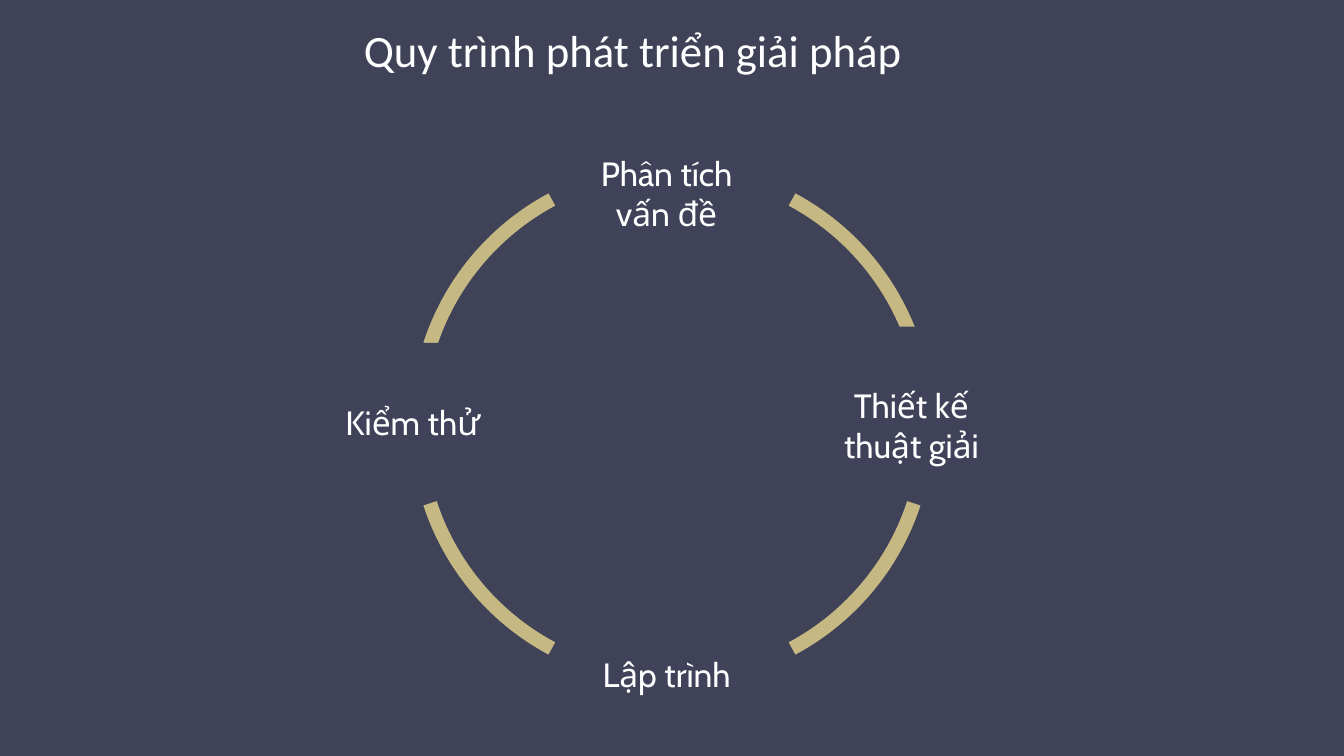
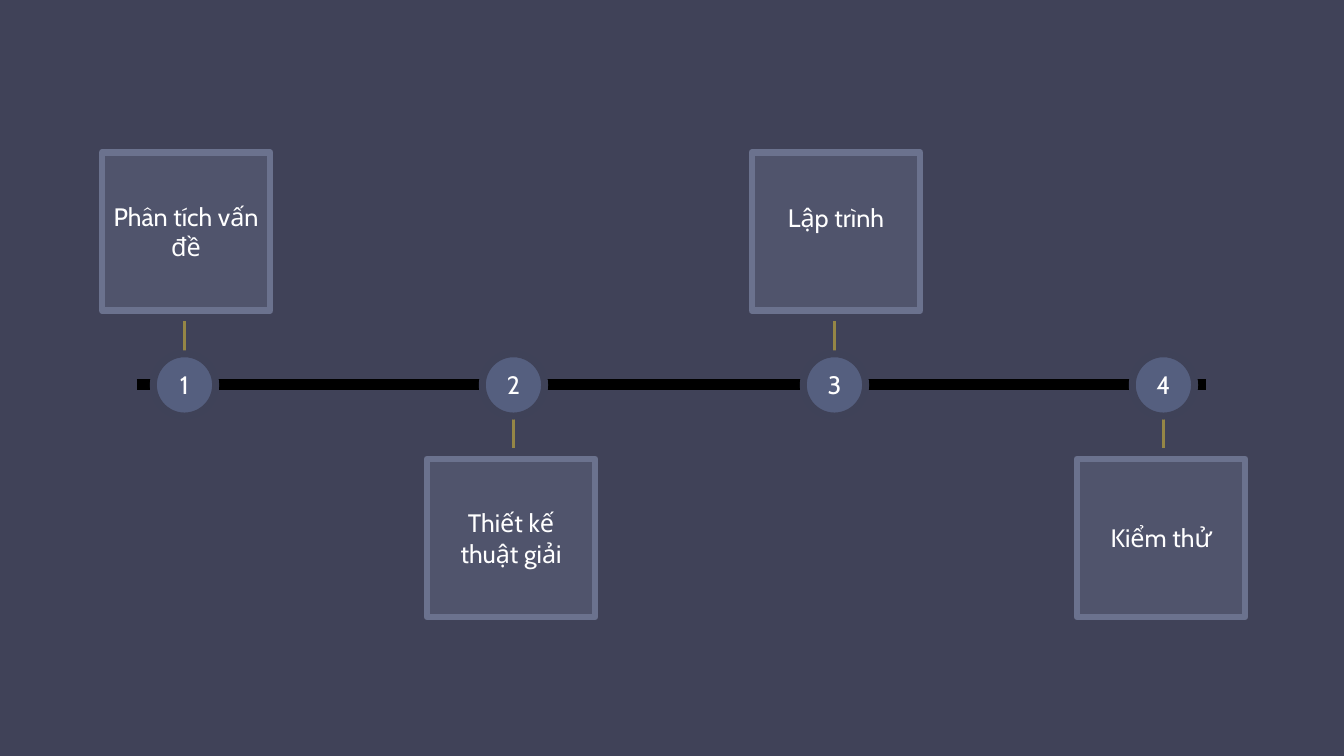
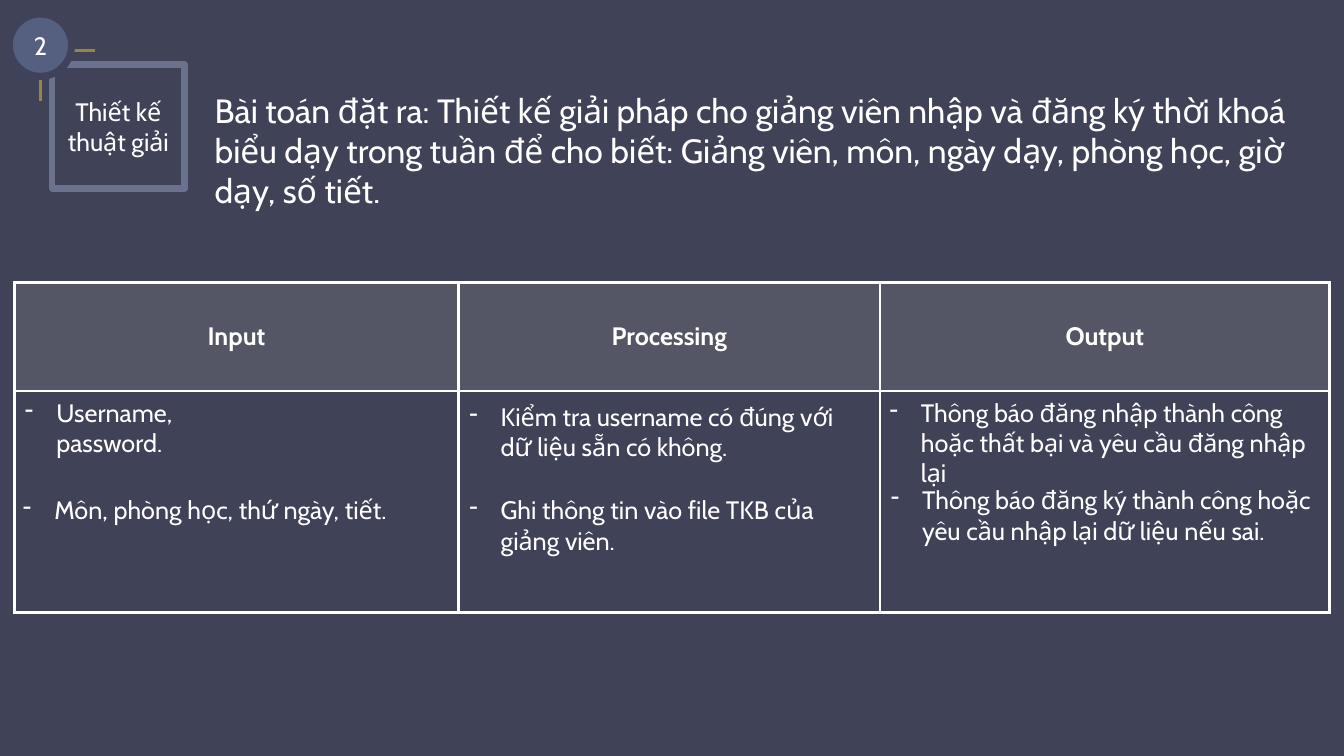
from lxml.etree import SubElement
from pptx import Presentation
from pptx.dml.color import RGBColor as Rgb
from pptx.enum.shapes import MSO_CONNECTOR as Connector, MSO_SHAPE as Preset
from pptx.enum.text import MSO_ANCHOR as Anchor, MSO_AUTO_SIZE as AutoSize, PP_ALIGN as Align
from pptx.oxml.ns import qn
from pptx.util import Cm, Pt

COLORS = {
    "page": "404258", "mask": "3F4258", "text": "FFFFFF", "arc": "C5B883",
    "axis": "000000", "tick": "958646", "bubble": "555F7F", "card": "6B728E",
    "header": "808080",
}
CARD_SIZE = (4.24, 3.99)
BUBBLE_SIZE = 1.57
LINE_PITCH = 0.04


def rgb(name):
    return Rgb.from_string(COLORS[name])


def set_all(target, values):
    for name, value in values.items():
        setattr(target, name, value)


class Deck:
    """Hold the shared style and the current slide, and draw elements on it."""

    def __init__(self):
        self.show = Presentation()
        set_all(self.show, {"slide_width": Cm(33.87), "slide_height": Cm(19.05)})
        self.page = None

    def new_page(self):
        self.page = self.show.slides.add_slide(self.show.slide_layouts[6])
        self.paint(self.page.background.fill, "page")

    def add_words(self, frame, text, size, align=Align.LEFT, bold=False, font="Cabin"):
        para = frame.paragraphs[0]
        para.alignment = align
        span = para.add_run()
        span.text = text
        set_all(span.font, {"name": font, "size": Pt(size), "bold": bold})
        span.font.color.rgb = rgb("text")
        return para

    def paint(self, fill, color):
        if color:
            fill.solid()
            fill.fore_color.rgb = rgb(color)
        else:
            fill.background()

    def set_opacity(self, properties, percent):
        color = properties.find(qn("a:solidFill"))[0]
        SubElement(color, qn("a:alpha"), val=str(percent * 1000))

    def shape(self, preset, left, top, width, height, fill=None, line=None, weight=0):
        shape = self.page.shapes.add_shape(preset, Cm(left), Cm(top), Cm(width), Cm(height))
        shape.shadow.inherit = False
        self.paint(shape.fill, fill)
        self.paint(shape.line.fill, line)
        if line:
            shape.line.width = Pt(weight)
        return shape

    def label(self, shape, text, size, shift=0):
        frame = shape.text_frame
        set_all(frame, {"word_wrap": True, "vertical_anchor": Anchor.MIDDLE})
        extra = Cm(LINE_PITCH * size)
        if shift > 0:
            frame.margin_top += extra
        elif shift < 0:
            frame.margin_bottom += extra
        self.add_words(frame, text, size, Align.CENTER)

    def arc(self, left, top, size, start, end):
        arc = self.shape(Preset.ARC, left, top, size, size, line="arc", weight=10)
        for index, angle in enumerate((start, end)):
            arc.adjustments[index] = angle * 0.6

    def node(self, left, top, text, shift):
        box = self.shape(Preset.RECTANGLE, left, top, *CARD_SIZE, fill="mask")
        self.label(box, text, 24, shift)

    def card(self, left, top, text, size=CARD_SIZE, shift=0, fill="card"):
        box = self.shape(Preset.RECTANGLE, left, top, *size, fill=fill, line="card", weight=4.5)
        if fill:
            self.set_opacity(box.element.spPr, 39)
        self.label(box, text, 18, shift)

    def bubble(self, x, y, number):
        half = BUBBLE_SIZE / 2
        box = self.shape(Preset.OVAL, x - half, y - half, BUBBLE_SIZE, BUBBLE_SIZE,
                         "bubble", "mask", 5)
        self.label(box, str(number), 18)

    def line(self, x1, y1, x2, y2, color="tick", weight=2.25):
        line = self.page.shapes.add_connector(
            Connector.STRAIGHT, Cm(x1), Cm(y1), Cm(x2), Cm(y2))
        line.line.color.rgb = rgb(color)
        line.line.width = Pt(weight)
        SubElement(line.element.spPr, qn("a:effectLst"))

    def text(self, left, top, width, height, text, size, font="Cabin"):
        box = self.page.shapes.add_textbox(Cm(left), Cm(top), Cm(width), Cm(height))
        set_all(box.text_frame, {"word_wrap": True, "auto_size": AutoSize.SHAPE_TO_FIT_TEXT})
        return self.add_words(box.text_frame, text, size, font=font)

    def bullet(self, left, top, width, height, text):
        para = self.text(left, top, width, height, text, 18)
        properties = para._p.get_or_add_pPr()
        properties.set("marL", str(Cm(0.79)))
        properties.set("indent", str(-Cm(0.79)))
        SubElement(properties, qn("a:buChar"), char="-")

    def border(self, properties):
        for side in ("lnL", "lnR", "lnT", "lnB"):
            edge = SubElement(properties, qn(f"a:{side}"), w=str(Pt(2.25)))
            solid = SubElement(edge, qn("a:solidFill"))
            SubElement(solid, qn("a:srgbClr"), val=COLORS["text"])

    def table(self, left, top, widths, heights, headings):
        frame = self.page.shapes.add_table(
            len(heights), len(widths), Cm(left), Cm(top), Cm(sum(widths)), Cm(sum(heights)))
        table = frame.table
        table.horz_banding = False
        for column, width in zip(table.columns, widths):
            column.width = Cm(width)
        for row, height in zip(table.rows, heights):
            row.height = Cm(height)
        for cell in table.iter_cells():
            cell.vertical_anchor = Anchor.MIDDLE
            self.border(cell._tc.tcPr)
            cell.fill.background()
        for cell, heading in zip(table.rows[0].cells, headings):
            self.paint(cell.fill, "header")
            self.set_opacity(cell._tc.tcPr, 33)
            self.add_words(cell.text_frame, heading, 18, Align.CENTER, bold=True)


def cycle_page(deck):
    deck.new_page()
    for middle in (320, 40, 140, 220):
        deck.arc(10.52, 4.27, 12.83, middle - 21.85, middle + 21.85)
    for left, top, text, shift in (
        (14.68, 2.87, "Phân tích vấn đề", 0),
        (20.85, 8.23, "Thiết kế thuật giải", 1),
        (14.68, 15.47, "Lập trình", -1),
        (8.28, 8.64, "Kiểm thử", 0),
    ):
        deck.node(left, top, text, shift)
    deck.text(8.92, 0.46, 16.05, 1.63, "Quy trình phát triển giải pháp", 32, "Calibri")


def timeline_page(deck):
    deck.new_page()
    axis_y = 9.7
    deck.line(3.45, 9.68, 30.4, 9.68, "axis", 7.75)
    steps = (("Phân tích vấn đề", 0), ("Thiết kế thuật giải", 0), ("Lập trình", -1), ("Kiểm thử", 0))
    for index, (text, shift) in enumerate(steps):
        left = 2.57 + 8.19 * index
        above = index % 2 == 0
        x = left + (2.08 if above else 2.18)
        deck.line(x, axis_y + (-1.6 if above else 1.58), x, axis_y)
        deck.bubble(x, axis_y, index + 1)
        deck.card(left, 3.84 if above else 11.56, text, shift=shift)


def design_page(deck):
    deck.new_page()
    deck.text(5.16, 2.13, 29.13, 2.31,
              "Bài toán đặt ra: Thiết kế giải pháp cho giảng viên nhập và đăng ký thời khoá "
              "biểu dạy trong tuần để cho biết: Giảng viên, môn, ngày dạy, phòng học, giờ dạy, "
              "số tiết.", 24)
    deck.table(0.36, 7.11, (11.2, 10.62, 11.33), (2.74, 5.59), ("Input", "Processing", "Output"))
    deck.card(1.32, 1.63, "Thiết kế thuật giải", (3.33, 3.12), fill=None)
    deck.line(2.39, 1.27, 0.76, 1.27)
    deck.line(1.02, 2.54, 1.02, 0.91)
    deck.bubble(1.02, 1.14, 2)
    for left, top, width, height, text in (
        (0.38, 9.88, 6.83, 1.02, "Username, password."),
        (0.33, 12.34, 10.41, 1.02, "Môn, phòng học, thứ ngày, tiết."),
        (11.58, 9.98, 10.41, 1.8, "Kiểm tra username có đúng với dữ liệu sẵn có không."),
        (11.58, 12.34, 10.41, 1.8, "Ghi thông tin vào file TKB của giảng viên."),
        (22.17, 9.88, 11.02, 2.57,
         "Thông báo đăng nhập thành công hoặc thất bại và yêu cầu đăng nhập lại"),
        (22.2, 12.09, 11.2, 1.8,
         "Thông báo đăng ký thành công hoặc yêu cầu nhập lại dữ liệu nếu sai."),
    ):
        deck.bullet(left, top, width, height, text)


def main():
    deck = Deck()
    cycle_page(deck)
    timeline_page(deck)
    design_page(deck)
    deck.show.save("out.pptx")


if __name__ == "__main__":
    main()
